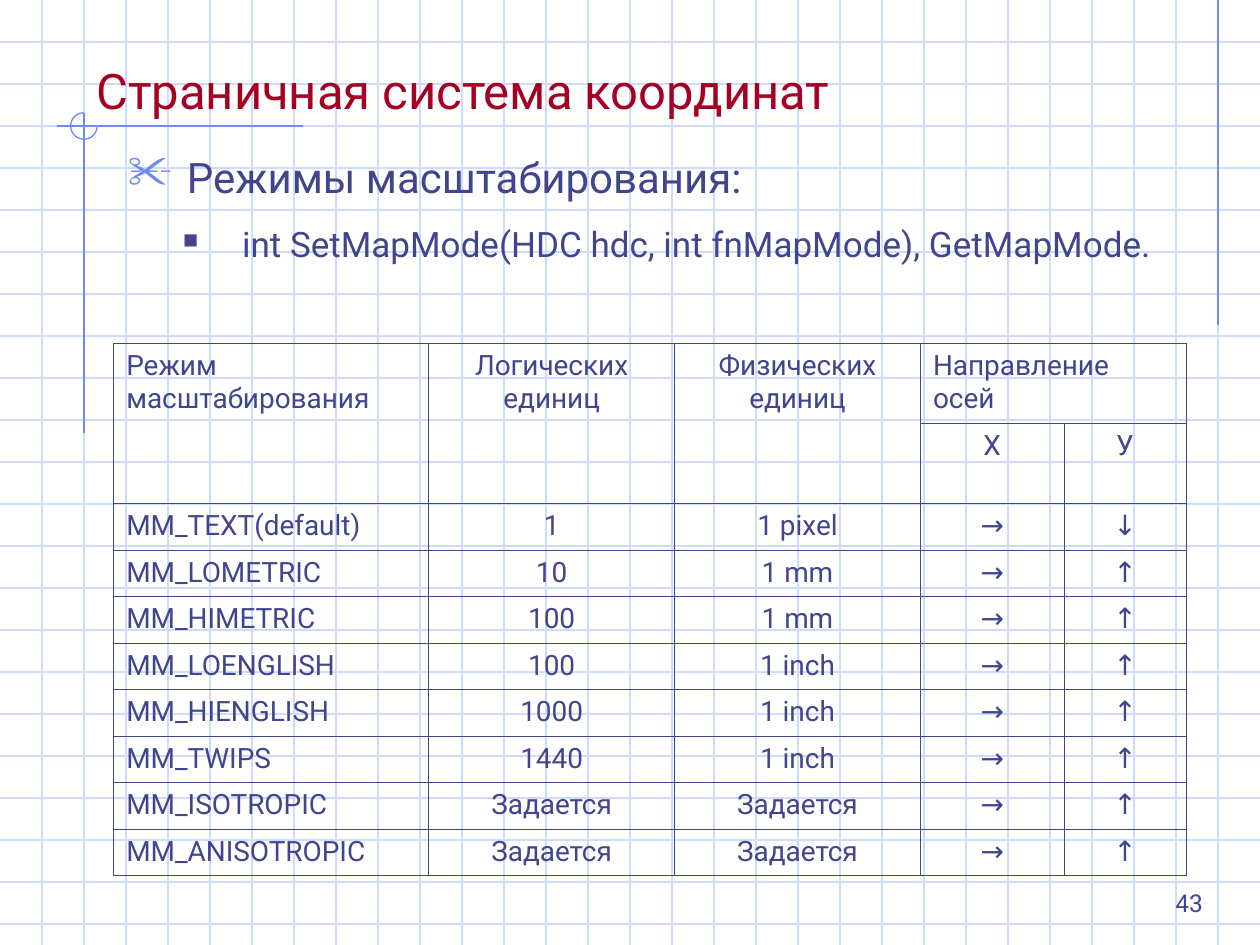
from lxml.etree import SubElement
from pptx import Presentation
from pptx.dml.color import RGBColor
from pptx.enum.shapes import MSO_CONNECTOR, MSO_SHAPE
from pptx.enum.text import MSO_ANCHOR, PP_ALIGN
from pptx.oxml.ns import qn
from pptx.util import Pt

FONT = "Roboto"
INK, RED, BLUE, GRID = "40458C", "A50021", "6F89F7", "CFDBFD"
WIDTH, HEIGHT, STEP = 720, 540, 24

HEADERS = ["Режим масштабирования", "Логических единиц",
           "Физических единиц", "Направление осей"]
MODES = [
    ("MM_TEXT(default)", "1", "1 pixel", "→", "↓"),
    ("MM_LOMETRIC", "10", "1 mm", "→", "↑"),
    ("MM_HIMETRIC", "100", "1 mm", "→", "↑"),
    ("MM_LOENGLISH", "100", "1 inch", "→", "↑"),
    ("MM_HIENGLISH", "1000", "1 inch", "→", "↑"),
    ("MM_TWIPS", "1440", "1 inch", "→", "↑"),
    ("MM_ISOTROPIC", "Задается", "Задается", "→", "↑"),
    ("MM_ANISOTROPIC", "Задается", "Задается", "→", "↑"),
]


def rgb(color):
    return RGBColor.from_string(color)


def add_line(s, x1, y1, x2, y2, color):
    line = s.shapes.add_connector(MSO_CONNECTOR.STRAIGHT,
                                  Pt(x1), Pt(y1), Pt(x2), Pt(y2))
    line.line.color.rgb = rgb(color)
    line.line.width = Pt(0.75)
    SubElement(line._element.spPr, qn("a:effectLst"))


def add_run(p, text, size, color=INK):
    r = p.add_run()
    r.text = text
    r.font.name = FONT
    r.font.size = Pt(size)
    r.font.color.rgb = rgb(color)


def add_box(s, x, y, w, h, anchor=MSO_ANCHOR.TOP):
    tf = s.shapes.add_textbox(Pt(x), Pt(y), Pt(w), Pt(h)).text_frame
    tf.word_wrap = True
    tf.vertical_anchor = anchor
    return tf


def set_bullet(p, char, color, percent, left, hanging):
    pPr = p._p.get_or_add_pPr()
    pPr.set("marL", str(Pt(left)))
    pPr.set("indent", str(-Pt(hanging)))
    clr = SubElement(pPr, qn("a:buClr"))
    SubElement(clr, qn("a:srgbClr"), val=color)
    SubElement(pPr, qn("a:buSzPct"), val=str(percent * 1000))
    SubElement(pPr, qn("a:buChar"), char=char)


def add_grid(s, w, h):
    for y in range(STEP, h, STEP):
        add_line(s, 0, y, w, y, GRID)
    for x in range(STEP, w, STEP):
        add_line(s, x, 0, x, h, GRID)


def add_ornament(s, cx, cy, radius):
    # Long rules crossing at the centre of the ring
    add_line(s, cx + 125, cy, cx - 15.6, cy, BLUE)
    add_line(s, cx, cy - 7.2, cx, cy + 175.7, BLUE)
    # Three-quarter ring
    ring = s.shapes.add_shape(MSO_SHAPE.ARC, Pt(cx - radius), Pt(cy - radius),
                              Pt(2 * radius), Pt(2 * radius))
    ring.adjustments[0] = 0
    ring.adjustments[1] = 162
    ring.fill.background()
    ring.line.color.rgb = rgb(BLUE)
    ring.line.width = Pt(0.75)
    ring.shadow.inherit = False


def add_title(s, x, y, w, h):
    p = add_box(s, x, y, w, h, MSO_ANCHOR.BOTTOM).paragraphs[0]
    add_run(p, "Страничная система координат", 28, RED)


def add_page_number(s, x, y, w, h):
    p = add_box(s, x, y, w, h, MSO_ANCHOR.BOTTOM).paragraphs[0]
    p.alignment = PP_ALIGN.RIGHT
    add_run(p, "43", 14)


def add_body(s, x, y, w, h):
    tf = add_box(s, x, y, w, h)
    p = tf.paragraphs[0]
    set_bullet(p, "✂", BLUE, 110, 33.75, 33.75)
    add_run(p, "Режимы масштабирования:", 24)
    p = tf.add_paragraph()
    p.level = 1
    set_bullet(p, "■", INK, 60, 65.25, 33.75)
    p.space_before = Pt(12)
    add_run(p, "int SetMapMode(HDC hdc, int fnMapMode), GetMapMode.", 20)


def set_borders(cell):
    tcPr = cell._tc.get_or_add_tcPr()
    for i, side in enumerate(("lnL", "lnR", "lnT", "lnB")):
        ln = SubElement(tcPr, qn("a:" + side), w=str(Pt(0.45)))
        fill = SubElement(ln, qn("a:solidFill"))
        SubElement(fill, qn("a:srgbClr"), val=INK)
        tcPr.insert(i, ln)


def add_mode_table(s, x, y, col_widths, row_heights):
    table = s.shapes.add_table(len(row_heights), len(col_widths), Pt(x), Pt(y),
                               Pt(sum(col_widths)), Pt(sum(row_heights))).table
    table.first_row = table.horz_banding = False
    for col, w in zip(table.columns, col_widths):
        col.width = Pt(w)
    for row, h in zip(table.rows, row_heights):
        row.height = Pt(h)
    for cell in (c for row in table.rows for c in row.cells):
        cell.fill.background()
        set_borders(cell)

    # Two-level header
    for c in range(3):
        table.cell(0, c).merge(table.cell(1, c))
    table.cell(0, 3).merge(table.cell(0, 4))

    rows = [HEADERS, [None, None, None, "Х", "У"], *MODES]
    for i, values in enumerate(rows):
        for j, text in enumerate(values):
            if text is None:
                continue
            p = table.cell(i, j).text_frame.paragraphs[0]
            left = j == 0 or (i, j) == (0, 3)
            p.alignment = PP_ALIGN.LEFT if left else PP_ALIGN.CENTER
            add_run(p, text, 16)


def main():
    prs = Presentation()
    prs.slide_width, prs.slide_height = Pt(WIDTH), Pt(HEIGHT)
    s = prs.slides.add_slide(prs.slide_layouts[6])
    s.background.fill.solid()
    s.background.fill.fore_color.rgb = rgb("FFFFFF")

    # Squared paper and ornaments
    add_grid(s, WIDTH, HEIGHT)
    add_line(s, 696, 0, 696, 186, BLUE)
    add_ornament(s, 48, 72, 7.6)

    # Text and table
    add_title(s, 48, 24, 612, 47.5)
    add_page_number(s, 516, 492, 178.5, 36)
    add_body(s, 66, 83, 628.5, 420)
    add_mode_table(s, 65, 196.25, [180, 140.5, 140.5, 82, 69.75],
                   [45.75] * 2 + [26.6] * len(MODES))

    prs.save("out.pptx")


if __name__ == "__main__":
    main()
